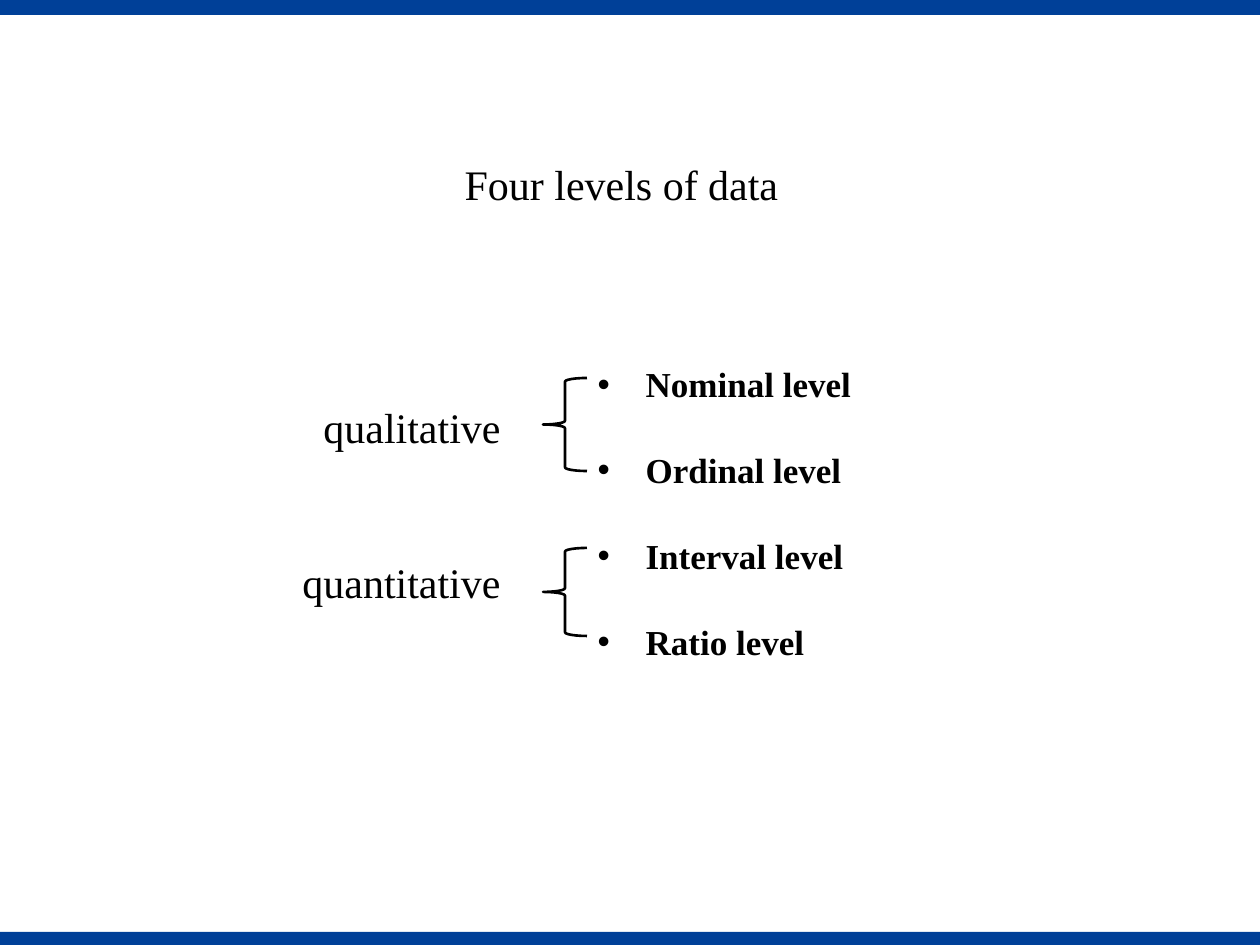
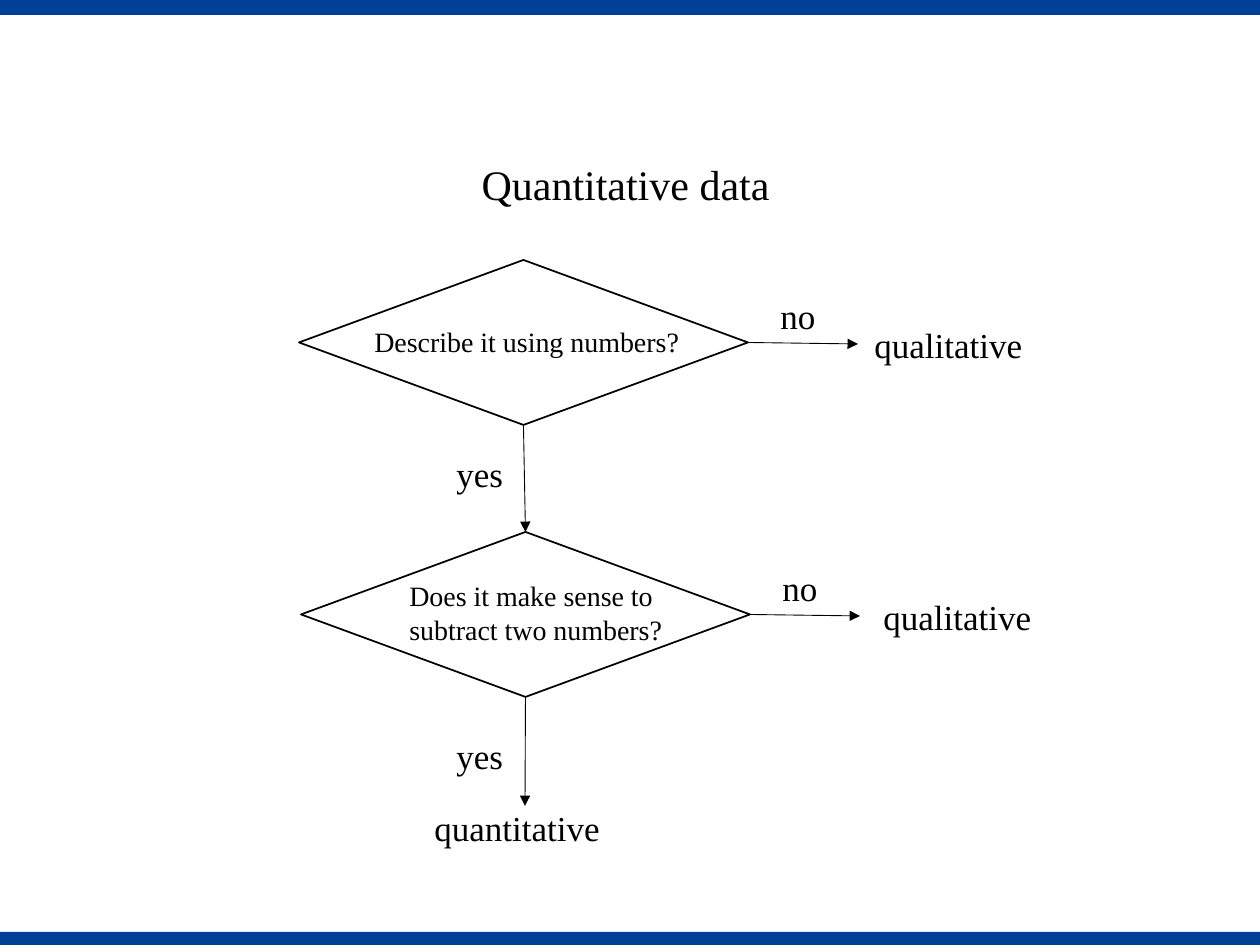
from dataclasses import dataclass

from lxml import etree
from pptx import Presentation, util as u
from pptx.dml.color import RGBColor
from pptx.enum import shapes, text
from pptx.oxml.ns import qn

EMU_PER_PX = 914400 // 126
SLIDE_WIDTH, SLIDE_HEIGHT = 1260, 945
TOP, BOTTOM, RIGHT = 0, 2, 3  # connection sites


@dataclass(frozen=True)
class Theme:
    font: str = "Times New Roman"
    ink: RGBColor = RGBColor(0, 0, 0)
    band: RGBColor = RGBColor(0x00, 0x40, 0x98)
    heading: int = 24
    label: int = 20
    question: int = 16
    brace_line: float = 1.5
    outline: float = 1
    arrow_line: float = 0.5


THEME = Theme()


def px(*lengths):
    return [u.Emu(length * EMU_PER_PX) for length in lengths]


def write(shape, box, content, size=THEME.label, bold=False, bullet_indent=0, space_after=0):
    """Place a text shape and fill it, one paragraph for each line of content."""
    shape.left, shape.top, shape.width, shape.height = px(*box)
    frame = shape.text_frame
    frame.text = content
    frame.word_wrap = True
    frame.auto_size = text.MSO_AUTO_SIZE.NONE
    frame.vertical_anchor = text.MSO_ANCHOR.TOP
    frame.margin_top, frame.margin_bottom = px(9, 0)
    for paragraph in frame.paragraphs:
        paragraph.alignment = text.PP_ALIGN.LEFT
        paragraph.space_before = u.Pt(0)
        paragraph.space_after = u.Pt(space_after)
        font = paragraph.runs[0].font
        font.name, font.size, font.bold = THEME.font, u.Pt(size), bold
        font.color.rgb = THEME.ink
        if bullet_indent:
            properties = paragraph._p.get_or_add_pPr()
            indent = px(bullet_indent)[0]
            properties.set("marL", str(indent))
            properties.set("indent", str(-indent))
            etree.SubElement(properties, qn("a:buChar"), char="•")


def add_label(slide, box, content, **style):
    write(slide.shapes.add_textbox(*px(*box)), box, content, **style)


def add_outline(slide, preset, box, width):
    shape = slide.shapes.add_shape(preset, *px(*box))
    shape.shadow.inherit = False
    shape.fill.background()
    shape.line.color.rgb = THEME.ink
    shape.line.width = u.Pt(width)
    return shape


def add_arrow(slide, start, site, end):
    """Draw an arrow from a side of a shape to a point."""
    arrow = slide.shapes.add_connector(shapes.MSO_CONNECTOR.STRAIGHT, *px(*end, *end))
    arrow.begin_connect(start, site)
    arrow.line.color.rgb = THEME.ink
    arrow.line.width = u.Pt(THEME.arrow_line)
    etree.SubElement(arrow.line._get_or_add_ln(), qn("a:tailEnd"), type="triangle")
    etree.SubElement(arrow.element.spPr, qn("a:effectLst"))
    return arrow


def add_master_bands(master, slide):
    """Draw the two bands and move them behind everything on the master."""
    for top, height in ((0, 15), (932, SLIDE_HEIGHT - 932)):
        band = slide.shapes.add_shape(shapes.MSO_SHAPE.RECTANGLE, *px(0, top, SLIDE_WIDTH, height))
        band.shadow.inherit = False
        band.fill.solid()
        band.fill.fore_color.rgb = THEME.band
        band.line.fill.background()
        master.shapes.element.insert(2, band.element)


def set_title(slide, left, width, content):
    write(slide.shapes.title, (left, 149, width, 63), content, size=THEME.heading)


def build_levels_slide(slide):
    set_title(slide, 452, 355, "Four levels of data")
    levels = ("Nominal level", "Ordinal level", "Interval level", "Ratio level")
    write(slide.placeholders[1], (585, 354, 325, 310), "\n".join(levels),
          bold=True, bullet_indent=48, space_after=25)
    kinds = (("qualitative", (311, 393, 210, 63), 378, 93),
             ("quantitative", (290, 548, 232, 63), 548, 88))
    for kind, label_box, brace_top, brace_height in kinds:
        add_label(slide, label_box, kind, size=THEME.heading)
        add_outline(slide, shapes.MSO_SHAPE.LEFT_BRACE,
                    (543, brace_top, 44, brace_height), THEME.brace_line)


def add_decision(slide, left, top, question, question_box, yes_offset, outcome_offset):
    """Draw a decision with its yes label and its branch for no."""
    def within(x, y, width, height):
        return left + x, top + y, width, height

    diamond = add_outline(slide, shapes.MSO_SHAPE.FLOWCHART_DECISION,
                          within(0, 0, 449, 165), THEME.outline)
    add_label(slide, within(*question_box), question, size=THEME.question)
    add_label(slide, within(*yes_offset, 98, 55), "yes")
    add_label(slide, within(469, 26, 98, 55), "no")
    add_label(slide, within(*outcome_offset, 174, 55), "qualitative")
    add_arrow(slide, diamond, RIGHT, (left + 559, top + 84))
    return diamond


def build_decision_slide(slide):
    set_title(slide, 469, 321, "Quantitative data")
    describe = add_decision(slide, 299, 260, "Describe it using numbers?",
                            (63, 56, 335, 47), (145, 184), (563, 54))
    subtract = add_decision(slide, 301, 532, "Does it make sense to\nsubtract two numbers?",
                            (96, 38, 318, 81), (143, 194), (570, 55))
    add_arrow(slide, describe, BOTTOM, (523, 532)).end_connect(subtract, TOP)
    add_arrow(slide, subtract, BOTTOM, (525, 806))
    add_label(slide, (422, 798, 192, 55), "quantitative")


def main():
    presentation = Presentation()
    presentation.slide_width, presentation.slide_height = px(SLIDE_WIDTH, SLIDE_HEIGHT)
    title_and_content, title_only = (presentation.slide_layouts[i] for i in (1, 5))
    levels_slide = presentation.slides.add_slide(title_and_content)
    add_master_bands(presentation.slide_master, levels_slide)
    build_levels_slide(levels_slide)
    build_decision_slide(presentation.slides.add_slide(title_only))
    presentation.save("out.pptx")


if __name__ == "__main__":
    main()
